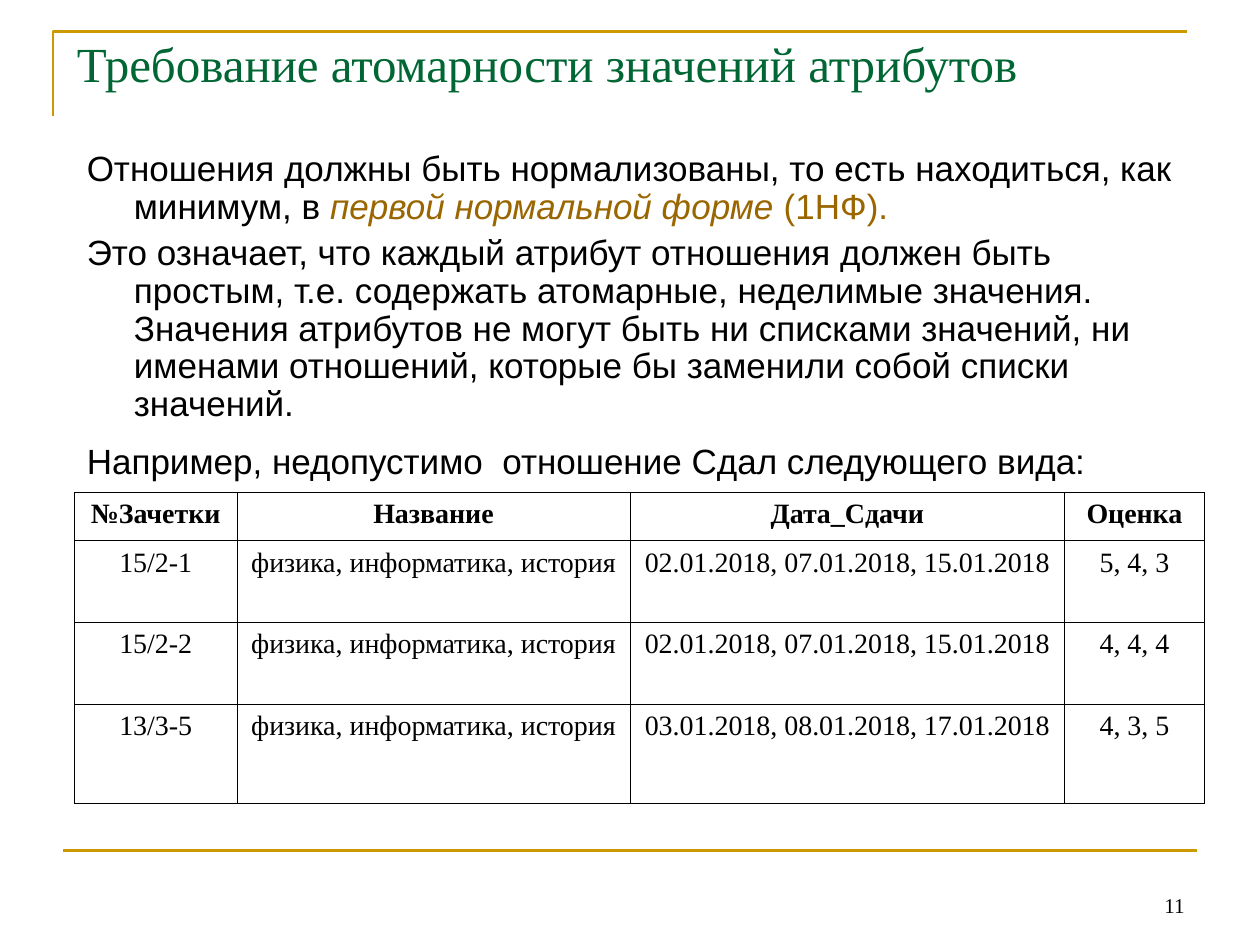
from lxml.etree import SubElement
from pptx import Presentation
from pptx.dml.color import RGBColor
from pptx.enum.shapes import MSO_CONNECTOR
from pptx.enum.text import MSO_ANCHOR, PP_ALIGN
from pptx.oxml.ns import qn
from pptx.util import Cm, Pt

COLORS = {"gold": "CC9900", "green": "006633", "brown": "996600", "black": "000000"}
SERIF = {"name": "Times New Roman", "color": "black"}
TITLE = {**SERIF, "size": Pt(28), "color": "green"}
BODY = {"name": "Arial", "size": Pt(20), "color": "black"}
TERM = {**BODY, "color": "brown"}
CELL = {**SERIF, "size": Pt(16)}
HANGING = Cm(0.95)

BODY_TEXT = [
    (0, [("Отношения должны быть нормализованы, то есть находиться, как минимум, в ", BODY),
         ("первой нормальной форме ", {**TERM, "italic": True}),
         ("(1НФ).", TERM)]),
    (5, [("Это означает, что каждый атрибут отношения должен быть простым, т.е. содержать "
          "атомарные, неделимые значения. Значения атрибутов не могут быть ни списками значений, "
          "ни именами отношений, которые бы заменили собой списки значений.", BODY)]),
    (6.5, [("Например, недопустимо  отношение Сдал следующего вида:", BODY),
           (" ", {**BODY, "size": Pt(26)})]),
]
SUBJECTS = "физика, информатика, история"
EARLY_DATES = "02.01.2018, 07.01.2018, 15.01.2018"
GRADES = [
    ("№Зачетки", "Название", "Дата_Сдачи", "Оценка"),
    ("15/2-1", SUBJECTS, EARLY_DATES, "5, 4, 3"),
    ("15/2-2", SUBJECTS, EARLY_DATES, "4, 4, 4"),
    ("13/3-5", SUBJECTS, "03.01.2018, 08.01.2018, 17.01.2018", "4, 3, 5"),
]
COLUMN_WIDTHS = [3.28, 7.92, 8.76, 2.82]
ROW_HEIGHTS = [0.97, 1.65, 1.65, 2]


def rgb(color):
    return RGBColor.from_string(COLORS[color])


def add_span(para, text, formats):
    span = para.add_run()
    span.text = text
    for name, value in formats.items():
        if name == "color":
            span.font.color.rgb = rgb(value)
        else:
            setattr(span.font, name, value)


def add_box(page, left, top, width, height, anchor=MSO_ANCHOR.TOP):
    frame = page.shapes.add_textbox(Cm(left), Cm(top), Cm(width), Cm(height)).text_frame
    frame.word_wrap = True
    frame.vertical_anchor = anchor
    return frame


def add_label(page, place, text, formats, anchor, alignment):
    para = add_box(page, *place, anchor).paragraphs[0]
    para.alignment = alignment
    add_span(para, text, formats)


def add_body(page):
    frame = add_box(page, 1.5, 2.92, 23.01, 7.01)
    for index, (space, spans) in enumerate(BODY_TEXT):
        para = frame.add_paragraph() if index else frame.paragraphs[0]
        para.line_spacing = 0.9
        if space:
            para.space_before = Pt(space)
        properties = para._p.get_or_add_pPr()
        properties.set("marL", str(HANGING))
        properties.set("indent", str(-HANGING))
        for text, formats in spans:
            add_span(para, text, formats)


def style_line(line):
    line.color.rgb = rgb("gold")
    line.width = Pt(1.5)


def add_corner(page):
    left, top, right, bottom = Cm(1.07), Cm(0.64), Cm(23.93), Cm(2.34)
    builder = page.shapes.build_freeform(left, bottom)
    builder.add_line_segments([(left, top), (right, top)], close=False)
    corner = builder.convert_to_shape()
    corner.shadow.inherit = False
    corner.fill.background()
    style_line(corner.line)


def add_rule(page):
    rule = page.shapes.add_connector(
        MSO_CONNECTOR.STRAIGHT, Cm(1.27), Cm(17.15), Cm(24.13), Cm(17.15))
    style_line(rule.line)
    SubElement(rule._element.spPr, qn("a:effectLst"))


def add_borders(cell):
    properties = cell._tc.get_or_add_tcPr()
    for index, side in enumerate(("lnL", "lnR", "lnT", "lnB")):
        border = properties.makeelement(qn(f"a:{side}"), {"w": str(Pt(0.45))})
        fill = SubElement(border, qn("a:solidFill"))
        SubElement(fill, qn("a:srgbClr"), val=COLORS["black"])
        properties.insert(index, border)


def add_grades(page):
    table = page.shapes.add_table(
        len(ROW_HEIGHTS), len(COLUMN_WIDTHS), Cm(1.5), Cm(9.93),
        Cm(sum(COLUMN_WIDTHS)), Cm(sum(ROW_HEIGHTS))).table
    for column, width in zip(table.columns, COLUMN_WIDTHS):
        column.width = Cm(width)
    for row, height, texts in zip(table.rows, ROW_HEIGHTS, GRADES):
        row.height = Cm(height)
        for cell, text in zip(row.cells, texts):
            cell.fill.background()
            add_borders(cell)
            para = cell.text_frame.paragraphs[0]
            para.alignment = PP_ALIGN.CENTER
            add_span(para, text, {**CELL, "bold": texts is GRADES[0]})


def main():
    deck = Presentation()
    deck.slide_width, deck.slide_height = Cm(25.4), Cm(19.05)
    page = deck.slides.add_slide(deck.slide_layouts[6])
    add_corner(page)
    add_rule(page)
    add_label(page, (1.3, 0.56, 22.81, 1.78), "Требование атомарности значений атрибутов",
              TITLE, MSO_ANCHOR.TOP, PP_ALIGN.LEFT)
    add_body(page)
    add_grades(page)
    add_label(page, (18.21, 17.35, 5.92, 1.27), "11",
              {**SERIF, "size": Pt(12)}, MSO_ANCHOR.BOTTOM, PP_ALIGN.RIGHT)
    deck.save("out.pptx")


if __name__ == "__main__":
    main()
